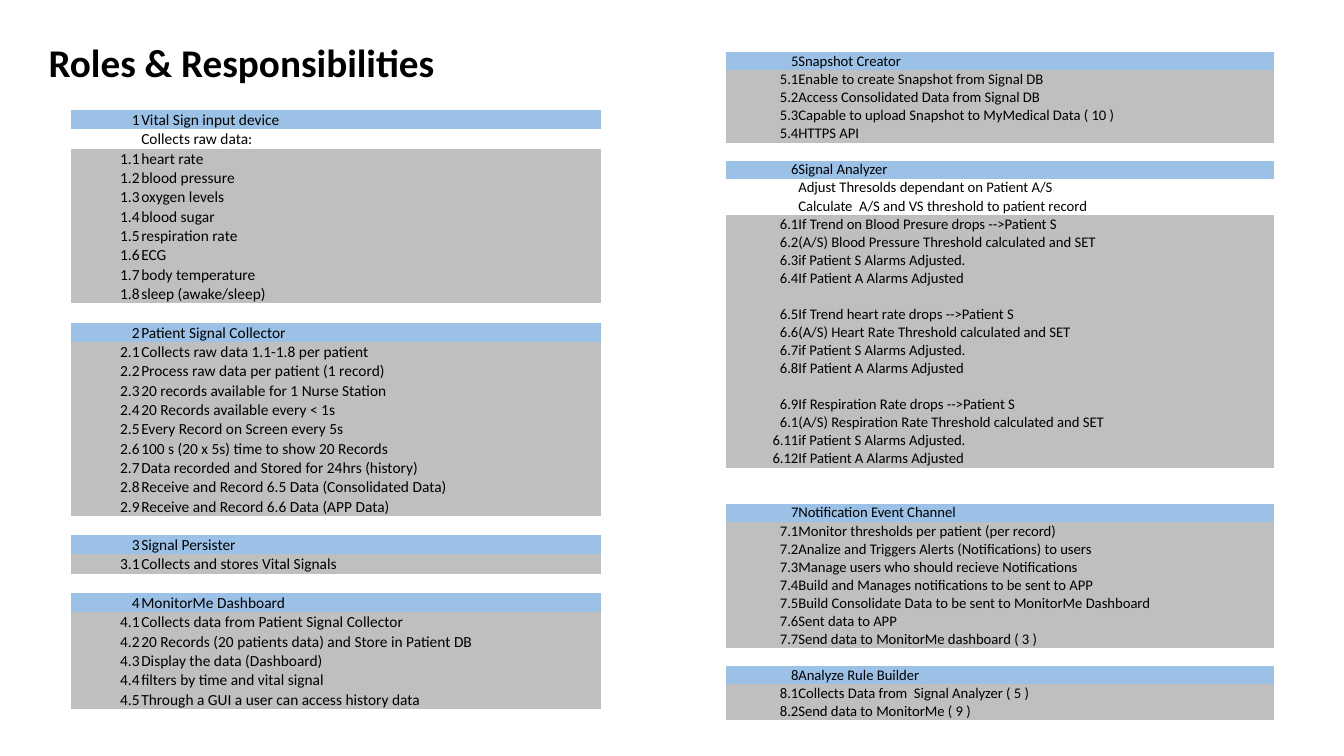
from dataclasses import dataclass
from typing import Optional

import lxml.etree
import pptx
import pptx.dml.color
import pptx.enum.text
import pptx.oxml.ns
import pptx.slide
import pptx.table
import pptx.util
from pptx.util import Cm

BLACK = pptx.dml.color.RGBColor(0x00, 0x00, 0x00)
HEADING_BLUE = pptx.dml.color.RGBColor(0x9B, 0xC2, 0xE6)
DUTY_GREY = pptx.dml.color.RGBColor(0xBF, 0xBF, 0xBF)
FONT_NAME = "Calibri"
NO_GRID_STYLE = "{2D5ABB26-0587-4C30-8999-92F81FD0307C}"


@dataclass
class Role:
    number: int
    name: str
    duties: list[str]  # an empty duty is an unnumbered grey row
    notes: tuple[str, ...] = ()
    gap_before: int = 1


@dataclass
class Row:
    label: str = ""
    wording: str = ""
    color: Optional[pptx.dml.color.RGBColor] = None


@dataclass
class RoleTable:
    left: float
    top: float
    column_widths: tuple[float, float]
    height: float
    font_size: float
    inset: float
    roles: list[Role]


def alarm_duties() -> list[str]:
    duties = []
    for trend, vital in (
        ("Trend on Blood Presure", "Blood Pressure"),
        ("Trend heart rate", "Heart Rate"),
        ("Respiration Rate", "Respiration Rate"),
    ):
        if duties:
            duties.append("")
        duties += [
            f"If {trend} drops -->Patient S",
            f"(A/S) {vital} Threshold calculated and SET",
            "if Patient S Alarms Adjusted.",
            "If Patient A Alarms Adjusted",
        ]
    return duties


ROLE_TABLES = [
    RoleTable(1.78, 2.77, (1.76, 11.6), 14.88, 11, 0.02, [
        Role(1, "Vital Sign input device", [
            "heart rate",
            "blood pressure",
            "oxygen levels",
            "blood sugar",
            "respiration rate",
            "ECG",
            "body temperature",
            "sleep (awake/sleep)",
        ], notes=("Collects raw data:",), gap_before=0),
        Role(2, "Patient Signal Collector", [
            "Collects raw data 1.1-1.8 per patient",
            "Process raw data per patient (1 record)",
            "20 records available for 1 Nurse Station",
            "20 Records available every < 1s",
            "Every Record on Screen every 5s",
            "100 s (20 x 5s) time to show 20 Records",
            "Data recorded and Stored for 24hrs (history)",
            "Receive and Record 6.5 Data (Consolidated Data)",
            "Receive and Record 6.6 Data (APP Data)",
        ]),
        Role(3, "Signal Persister", ["Collects and stores Vital Signals"]),
        Role(4, "MonitorMe Dashboard", [
            "Collects data from Patient Signal Collector",
            "20 Records (20 patients data) and Store in Patient DB",
            "Display the data (Dashboard)",
            "filters by time and vital signal",
            "Through a GUI a user can access history data",
        ]),
    ]),
    RoleTable(18.29, 1.32, (1.83, 11.99), 16.84, 10.5, 0, [
        Role(5, "Snapshot Creator", [
            "Enable to create Snapshot from Signal DB",
            "Access Consolidated Data from Signal DB",
            "Capable to upload Snapshot to MyMedical Data ( 10 )",
            "HTTPS API",
        ], gap_before=0),
        Role(6, "Signal Analyzer", alarm_duties(), notes=(
            "Adjust Thresolds dependant on Patient A/S",
            "Calculate  A/S and VS threshold to patient record",
        )),
        Role(7, "Notification Event Channel", [
            "Monitor thresholds per patient (per record)",
            "Analize and Triggers Alerts (Notifications) to users",
            "Manage users who should recieve Notifications",
            "Build and Manages notifications to be sent to APP",
            "Build Consolidate Data to be sent to MonitorMe Dashboard",
            "Sent data to APP",
            "Send data to MonitorMe dashboard ( 3 )",
        ], gap_before=2),
        Role(8, "Analyze Rule Builder", [
            "Collects Data from  Signal Analyzer ( 5 )",
            "Send data to MonitorMe ( 9 )",
        ]),
    ]),
]


def role_rows(role: Role) -> list[Row]:
    """Number the duties as decimals, so that the tenth reads 6.1."""
    rows = [Row() for _ in range(role.gap_before)]
    rows.append(Row(str(role.number), role.name, HEADING_BLUE))
    rows += [Row(wording=note) for note in role.notes]
    position = 0
    for duty in role.duties:
        label = ""
        if duty:
            position += 1
            label = f"{role.number}.{position}".rstrip("0")
        rows.append(Row(label, duty, DUTY_GREY))
    return rows


def format_font(font: pptx.text.text.Font, size: float) -> None:
    font.name = FONT_NAME
    font.size = pptx.util.Pt(size)
    font.color.rgb = BLACK


def fill_cell(cell: pptx.table._Cell, text: str, row: Row, role_table: RoleTable) -> None:
    cell.margin_left = cell.margin_right = cell.margin_top = Cm(role_table.inset)
    cell.margin_bottom = 0
    cell.vertical_anchor = pptx.enum.text.MSO_ANCHOR.BOTTOM
    if row.color is None:
        cell.fill.background()
    else:
        cell.fill.solid()
        cell.fill.fore_color.rgb = row.color
    paragraph = cell.text_frame.paragraphs[0]
    paragraph.text = text
    for run in paragraph.runs:
        format_font(run.font, role_table.font_size)
    if not text:  # keeps empty rows as low as the others
        lxml.etree.SubElement(paragraph._p, pptx.oxml.ns.qn("a:endParaRPr"),
                              sz=str(int(role_table.font_size * 100)))


def add_role_table(slide: pptx.slide.Slide, role_table: RoleTable) -> None:
    rows = [row for role in role_table.roles for row in role_rows(role)]
    table = slide.shapes.add_table(
        len(rows), 2, Cm(role_table.left), Cm(role_table.top),
        Cm(sum(role_table.column_widths)), Cm(role_table.height)).table
    table.first_row = table.horz_banding = False
    table._tbl.tblPr.find(pptx.oxml.ns.qn("a:tableStyleId")).text = NO_GRID_STYLE
    for column, width in zip(table.columns, role_table.column_widths):
        column.width = Cm(width)
    for index, row in enumerate(rows):
        label_cell, wording_cell = table.rows[index].cells
        fill_cell(label_cell, row.label, row, role_table)
        label_cell.text_frame.paragraphs[0].alignment = pptx.enum.text.PP_ALIGN.RIGHT
        fill_cell(wording_cell, row.wording, row, role_table)


def add_title(slide: pptx.slide.Slide) -> None:
    title = slide.shapes.title
    title.left, title.top, title.width, title.height = Cm(0.97), Cm(0.84), Cm(10.34), Cm(1.45)
    text_frame = title.text_frame
    text_frame.text = "Roles & Responsibilities"
    text_frame.word_wrap = False
    text_frame.auto_size = pptx.enum.text.MSO_AUTO_SIZE.SHAPE_TO_FIT_TEXT
    text_frame.vertical_anchor = pptx.enum.text.MSO_ANCHOR.TOP
    paragraph = text_frame.paragraphs[0]
    paragraph.alignment = pptx.enum.text.PP_ALIGN.LEFT
    format_font(paragraph.runs[0].font, 28)
    paragraph.runs[0].font.bold = True


def main() -> None:
    presentation = pptx.Presentation()
    presentation.slide_width, presentation.slide_height = Cm(33.87), Cm(19.05)
    slide = presentation.slides.add_slide(presentation.slide_layouts.get_by_name("Title Only"))
    add_title(slide)
    for role_table in ROLE_TABLES:
        add_role_table(slide, role_table)
    presentation.save("out.pptx")


if __name__ == "__main__":
    main()
